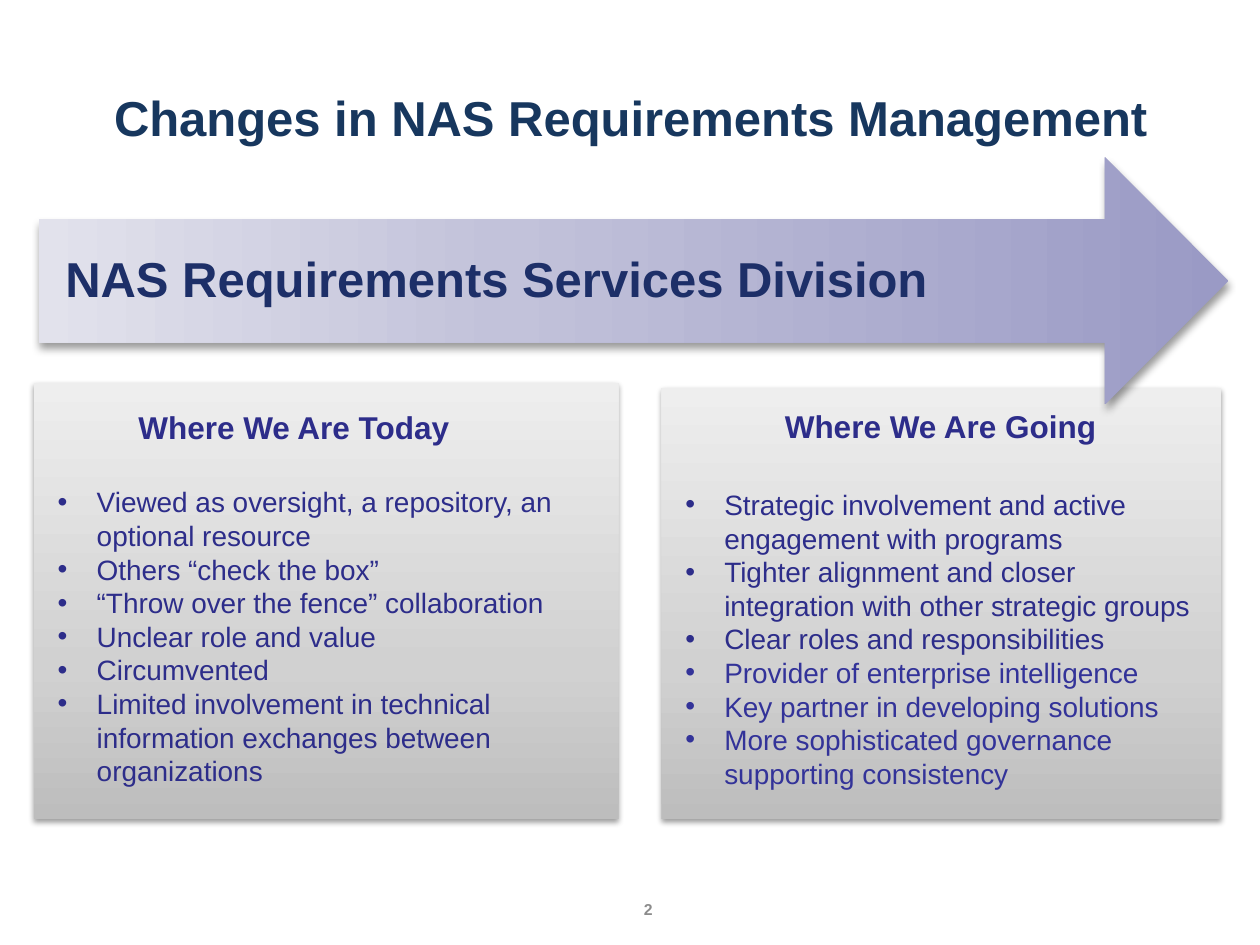
"""Build the slide on changes in NAS requirements management."""
from lxml import etree
from pptx import Presentation
from pptx.dml.color import RGBColor
from pptx.enum.shapes import MSO_SHAPE
from pptx.enum.text import MSO_ANCHOR, PP_ALIGN
from pptx.oxml import parse_xml
from pptx.oxml.ns import qn
from pptx.util import Inches, Pt

RECT, ARROW = MSO_SHAPE.RECTANGLE, MSO_SHAPE.RIGHT_ARROW
TOP, MIDDLE = MSO_ANCHOR.TOP, MSO_ANCHOR.MIDDLE
LEFT, CENTER = PP_ALIGN.LEFT, PP_ALIGN.CENTER
NS = 'xmlns:a="http://schemas.openxmlformats.org/drawingml/2006/main"'
NAVY, VIOLET = "2D2D8A", "333399"
GREYS = [(0, "BDBDBD"), (35, "D1D1D1"), (100, "EEEEEE")]
LILACS = [(0, "9A9AC5"), (61, "C2C2DA"), (100, "E2E2EC")]


def add_text(lines, box, size=16, color=NAVY, bold=False, align=LEFT,
             anchor=TOP, wrap=True, bullet=False):
    """Add a text box; each line is a string or a (string, colour) pair."""
    frame = slide.shapes.add_textbox(*map(Inches, box)).text_frame
    frame.word_wrap = wrap
    frame.vertical_anchor = anchor
    for i, line in enumerate(lines):
        words, tint = (line, color) if isinstance(line, str) else line
        para = frame.add_paragraph() if i else frame.paragraphs[0]
        para.alignment = align
        run = para.add_run()
        run.text = words
        run.font.name = "Arial"
        run.font.size = Pt(size)
        run.font.bold = bold
        run.font.color.rgb = RGBColor.from_string(tint)
        if bullet:
            para.line_spacing = Pt(19.2)
            props = para._p.get_or_add_pPr()
            props.set("marL", str(Inches(0.31)))
            props.set("indent", str(Inches(-0.31)))
            etree.SubElement(props, qn("a:buFont")).set("typeface", "Arial")
            etree.SubElement(props, qn("a:buChar")).set("char", "•")


def add_block(kind, box, stops, angle, alpha, blur, dist):
    """Add a borderless shape with a gradient and a shadow cast downward."""
    shape = slide.shapes.add_shape(kind, *map(Inches, box))
    shape.line.fill.background()
    marks = "".join(f'<a:gs pos="{pos * 1000}"><a:srgbClr val="{tint}"/></a:gs>'
                    for pos, tint in stops)
    fill = parse_xml(f'<a:gradFill {NS} rotWithShape="1"><a:gsLst>{marks}</a:gsLst>'
                     f'<a:lin ang="{angle * 60000}" scaled="0"/></a:gradFill>')
    shade = parse_xml(f'<a:effectLst {NS}><a:outerShdw blurRad="{Pt(blur)}" '
                      f'dist="{Pt(dist)}" dir="5400000" rotWithShape="0">'
                      f'<a:srgbClr val="000000"><a:alpha val="{alpha * 1000}"/>'
                      '</a:srgbClr></a:outerShdw></a:effectLst>')
    props = shape._element.spPr
    props.find(qn("a:prstGeom")).addnext(fill)
    props.find(qn("a:ln")).addnext(shade)


deck = Presentation()
deck.slide_width, deck.slide_height = Inches(10), Inches(7.5)
slide = deck.slides.add_slide(deck.slide_layouts[6])

add_text(["Changes in NAS Requirements Management"], (0.42, 0.3, 9.17, 1.25),
         size=28, color="17375E", bold=True, align=CENTER, anchor=MIDDLE)
add_text(["2"], (3.98, 7.09, 2.33, 0.26), size=9, color="8C8C8C",
         bold=True, align=CENTER, anchor=MIDDLE)

today = [
    "Viewed as oversight, a repository, an optional resource",
    "Others “check the box”",
    "“Throw over the fence” collaboration",
    "Unclear role and value",
    "Circumvented",
    "Limited involvement in technical information exchanges between organizations",
]
going = [
    "Strategic involvement and active engagement with programs",
    "Tighter alignment and closer integration with other strategic groups",
    "Clear roles and responsibilities",
    ("Provider of enterprise intelligence", VIOLET),
    ("Key partner in developing solutions", VIOLET),
    ("More sophisticated governance supporting consistency", VIOLET),
]
panels = [
    ("Where We Are Today", today, (0.27, 3.04, 4.64, 3.46),
     (1, 3.19, 2.73, 0.4), LEFT, (0.36, 3.8, 4.64, 3.03)),
    ("Where We Are Going", going, (5.25, 3.08, 4.44, 3.42),
     (6.11, 3.18, 2.71, 0.4), CENTER, (5.34, 3.82, 4.32, 2.52)),
]
for head, points, panel, top, align, body in panels:
    add_block(RECT, panel, GREYS, 270, 38, 3.1, 1.6)
    add_text([head], top, size=18, bold=True, align=align, wrap=False)
    add_text(points, body, bullet=True)

add_block(ARROW, (0.31, 1.25, 9.44, 1.96), LILACS, 180, 40, 4, 3)
add_text(["NAS Requirements Services Division"], (0.42, 1.71, 8.77, 1),
         size=28, color="1D2F68", bold=True, anchor=MIDDLE)

deck.save("out.pptx")
